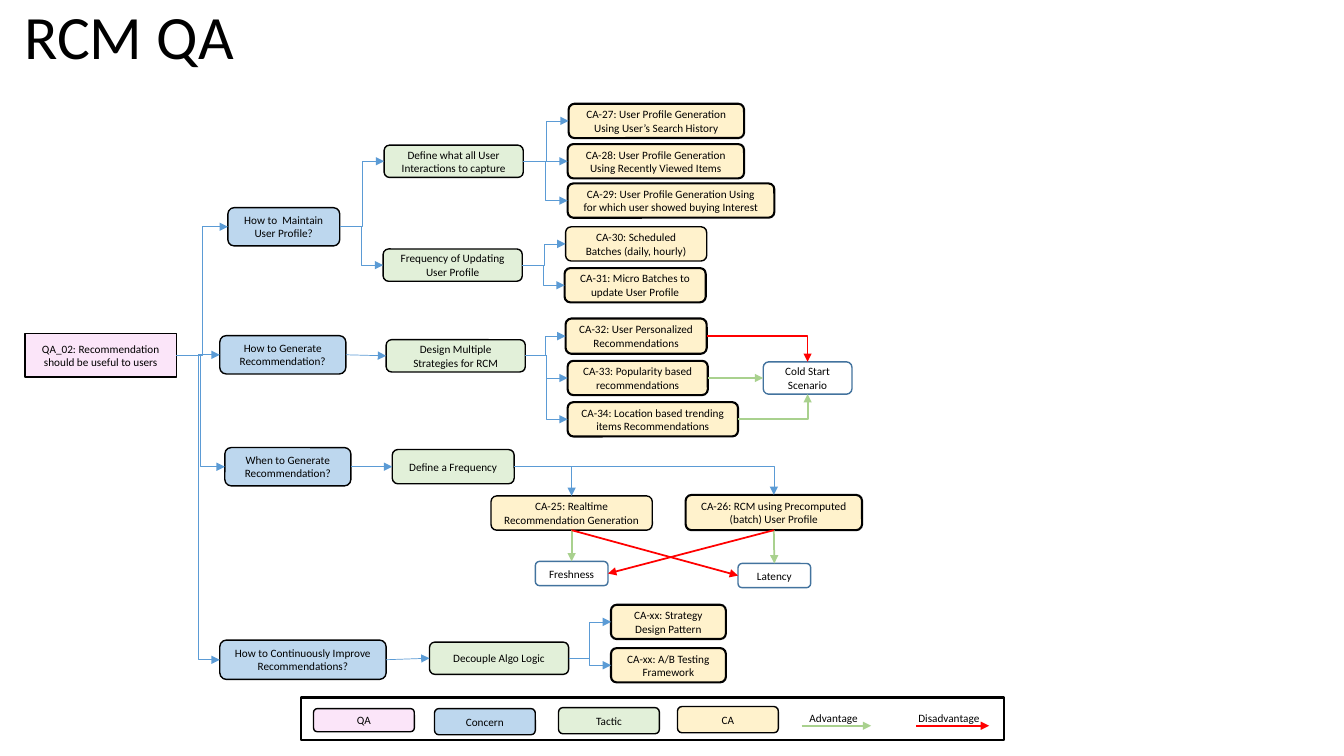
from lxml.etree import SubElement
from pptx import Presentation
from pptx.dml.color import RGBColor
from pptx.enum.shapes import MSO_CONNECTOR, MSO_SHAPE
from pptx.enum.text import MSO_ANCHOR, MSO_AUTO_SIZE, PP_ALIGN
from pptx.oxml.ns import qn
from pptx.util import Inches, Pt

BLACK = RGBColor(0x00, 0x00, 0x00)
PINK = RGBColor(0xFB, 0xE5, 0xF9)
BLUE = RGBColor(0xBD, 0xD7, 0xEE)
GREEN = RGBColor(0xE2, 0xF0, 0xD9)
YELLOW = RGBColor(0xFF, 0xF2, 0xCC)
OUTLINE_BLUE = RGBColor(0x43, 0x73, 0x9E)
FLOW = RGBColor(0x5B, 0x9B, 0xD5)
ADVANTAGE = RGBColor(0xA9, 0xD1, 0x8E)
DISADVANTAGE = RGBColor(0xFF, 0x00, 0x00)
FONT = "Calibri"
TOP, LEFT, BOTTOM, RIGHT = range(4)

# kind: fill, outline colour, outline width
KINDS = {
    "qa": (PINK, BLACK, 1),
    "concern": (BLUE, BLACK, 1),
    "tactic": (GREEN, BLACK, 1),
    "ca": (YELLOW, BLACK, 1.5),
    "thin ca": (YELLOW, BLACK, 1),
    "quality": (None, OUTLINE_BLUE, 1),
    "frame": (None, BLACK, 1.5),
}

# name: kind, left, top, width, height, text
BOXES = {
    "maintain": ("concern", 2.26, 2.06, 1.11, 0.38, "How to  Maintain User Profile?"),
    "generate": ("concern", 2.18, 3.33, 1.25, 0.38, "How to Generate Recommendation?"),
    "when": ("concern", 2.23, 4.44, 1.25, 0.38, "When to Generate Recommendation?"),
    "improve": ("concern", 2.18, 6.35, 1.65, 0.39,
                "How to Continuously Improve Recommendations?"),
    "capture": ("tactic", 3.81, 1.44, 1.38, 0.32,
                "Define what all User Interactions to capture"),
    "updating": ("tactic", 3.8, 2.47, 1.38, 0.32, "Frequency of Updating User Profile"),
    "strategies": ("tactic", 3.83, 3.37, 1.38, 0.32, "Design Multiple Strategies for RCM"),
    "frequency": ("tactic", 3.89, 4.46, 1.21, 0.34, "Define a Frequency"),
    "decouple": ("tactic", 4.26, 6.37, 1.38, 0.32, "Decouple Algo Logic"),
    "ca25": ("thin ca", 4.87, 4.92, 1.6, 0.34, "CA-25: Realtime Recommendation Generation"),
    "ca26": ("ca", 6.8, 4.91, 1.75, 0.35, "CA-26: RCM using Precomputed (batch) User Profile"),
    "ca27": ("ca", 5.64, 1.03, 1.74, 0.34,
             "CA-27: User Profile Generation Using User’s Search History"),
    "ca28": ("ca", 5.63, 1.43, 1.75, 0.34,
             "CA-28: User Profile Generation Using Recently Viewed Items"),
    "ca29": ("ca", 5.63, 1.82, 2.05, 0.34,
             "CA-29: User Profile Generation Using for which user showed buying Interest"),
    "ca30": ("thin ca", 5.61, 2.25, 1.4, 0.34, "CA-30: Scheduled Batches (daily, hourly)"),
    "ca31": ("ca", 5.6, 2.66, 1.4, 0.34, "CA-31: Micro Batches to update User Profile"),
    "ca32": ("ca", 5.61, 3.16, 1.4, 0.35, "CA-32: User Personalized Recommendations"),
    "ca33": ("ca", 5.63, 3.58, 1.39, 0.34, "CA-33: Popularity based recommendations"),
    "ca34": ("ca", 5.63, 3.99, 1.69, 0.34,
             "CA-34: Location based trending items Recommendations"),
    "pattern": ("ca", 6.06, 6, 1.14, 0.34, "CA-xx: Strategy Design Pattern"),
    "testing": ("ca", 6.06, 6.43, 1.14, 0.34, "CA-xx: A/B Testing Framework"),
    "cold start": ("quality", 7.57, 3.59, 0.88, 0.32, "Cold Start Scenario"),
    "freshness": ("quality", 5.31, 5.57, 0.72, 0.24, "Freshness"),
    "latency": ("quality", 7.32, 5.59, 0.72, 0.24, "Latency"),
}

# parent: children joined from right side to left side by elbows
BRANCHES = {
    "qa": ("maintain", "generate", "when", "improve"),
    "maintain": ("capture", "updating"),
    "capture": ("ca27", "ca28", "ca29"),
    "updating": ("ca30", "ca31"),
    "strategies": ("ca32", "ca33", "ca34"),
    "decouple": ("pattern", "testing"),
}
STRAIGHT_STEPS = (("generate", "strategies"), ("when", "frequency"), ("improve", "decouple"))

# start, side, end, side, colour
EFFECTS = (
    ("ca33", RIGHT, "cold start", LEFT, ADVANTAGE),
    ("ca25", BOTTOM, "freshness", TOP, ADVANTAGE),
    ("ca26", BOTTOM, "latency", TOP, ADVANTAGE),
    ("ca25", BOTTOM, "latency", LEFT, DISADVANTAGE),
    ("ca26", BOTTOM, "freshness", RIGHT, DISADVANTAGE),
)
CORNERS = (
    ("frequency", "ca25", TOP, FLOW, 0.5),
    ("frequency", "ca26", TOP, FLOW, 0.5),
    ("ca32", "cold start", TOP, DISADVANTAGE, 1.25),
    ("ca34", "cold start", BOTTOM, ADVANTAGE, 1.25),
)

LEGEND_BOXES = (
    ("qa", 3.11, 7.03, 1, 0.23, "QA"),
    ("concern", 4.31, 7.03, 1, 0.26, "Concern"),
    ("tactic", 5.54, 7.02, 1, 0.26, "Tactic"),
    ("thin ca", 6.72, 7.01, 1, 0.26, "CA"),
)
# text, text left, text width, arrow from, arrow to, colour
LEGEND_ARROWS = (
    ("Advantage", 7.93, 0.73, 7.95, 8.64, ADVANTAGE),
    ("Disadvantage", 9.01, 0.96, 9.09, 9.81, DISADVANTAGE),
)


def write(tf, text, size, align):
    tf.word_wrap = True
    p = tf.paragraphs[0]
    p.alignment = align
    r = p.add_run()
    r.text = text
    r.font.name = FONT
    r.font.size = Pt(size)
    r.font.color.rgb = BLACK


def add_title(s, text):
    title = s.shapes.title
    title.left, title.top = Inches(0.14), Inches(-0.02)
    title.width, title.height = Inches(10), Inches(0.83)
    tf = title.text_frame
    tf.auto_size = MSO_AUTO_SIZE.NONE
    tf.vertical_anchor = MSO_ANCHOR.MIDDLE
    write(tf, text, 44, PP_ALIGN.LEFT)
    tf.paragraphs[0].line_spacing = 0.9


def add_box(s, kind, left, top, width, height, text="", preset=MSO_SHAPE.ROUNDED_RECTANGLE):
    fill, outline, weight = KINDS[kind]
    sp = s.shapes.add_shape(preset, Inches(left), Inches(top), Inches(width), Inches(height))
    sp.shadow.inherit = False
    if fill is None:
        sp.fill.background()
    else:
        sp.fill.solid()
        sp.fill.fore_color.rgb = fill
    sp.line.color.rgb = outline
    sp.line.width = Pt(weight)
    if text:
        sp.text_frame.vertical_anchor = MSO_ANCHOR.MIDDLE
        write(sp.text_frame, text, 8, PP_ALIGN.CENTER)
    return sp


def add_arrow(s, color, weight, kind=MSO_CONNECTOR.STRAIGHT, ends=(0, 0, 0, 0)):
    c = s.shapes.add_connector(kind, *(Inches(v) for v in ends))
    c.line.color.rgb = color
    c.line.width = Pt(weight)
    SubElement(c.line._get_or_add_ln(), qn("a:tailEnd"), type="triangle")
    SubElement(c._element.spPr, qn("a:effectLst"))
    return c


def join(s, start, start_side, end, end_side, color=FLOW, weight=0.5,
         kind=MSO_CONNECTOR.STRAIGHT):
    c = add_arrow(s, color, weight, kind)
    c.begin_connect(start, start_side)
    c.end_connect(end, end_side)
    return c


def join_corner(s, start, end, end_side, color, weight):
    """Leave sideways and turn once into the top or bottom of the end box."""
    c = join(s, start, RIGHT, end, end_side, color, weight, MSO_CONNECTOR.ELBOW)
    c._element.spPr.find(qn("a:prstGeom")).set("prst", "bentConnector2")


def add_legend(s):
    add_box(s, "frame", 2.99, 6.92, 6.97, 0.42, preset=MSO_SHAPE.RECTANGLE)
    for swatch in LEGEND_BOXES:
        add_box(s, *swatch)
    for text, left, width, start, end, color in LEGEND_ARROWS:
        add_arrow(s, color, 1.25, ends=(start, 7.2, end, 7.2))
        tb = s.shapes.add_textbox(Inches(left), Inches(7.01), Inches(width), Inches(0.24))
        write(tb.text_frame, text, 8, PP_ALIGN.LEFT)


def main():
    prs = Presentation()
    prs.slide_width, prs.slide_height = Inches(13.33), Inches(7.5)
    s = prs.slides.add_slide(prs.slide_layouts[5])
    add_title(s, "RCM QA")

    boxes = {name: add_box(s, *box) for name, box in BOXES.items()}
    boxes["qa"] = add_box(s, "qa", 0.25, 3.31, 1.5, 0.43,
                          "QA_02: Recommendation should be useful to users",
                          MSO_SHAPE.RECTANGLE)

    for parent, children in BRANCHES.items():
        for child in children:
            join(s, boxes[parent], RIGHT, boxes[child], LEFT, kind=MSO_CONNECTOR.ELBOW)
    for start, end in STRAIGHT_STEPS:
        join(s, boxes[start], RIGHT, boxes[end], LEFT)
    for start, start_side, end, end_side, color in EFFECTS:
        join(s, boxes[start], start_side, boxes[end], end_side, color, 1.25)
    for start, end, end_side, color, weight in CORNERS:
        join_corner(s, boxes[start], boxes[end], end_side, color, weight)

    add_legend(s)
    prs.save("out.pptx")


if __name__ == "__main__":
    main()
